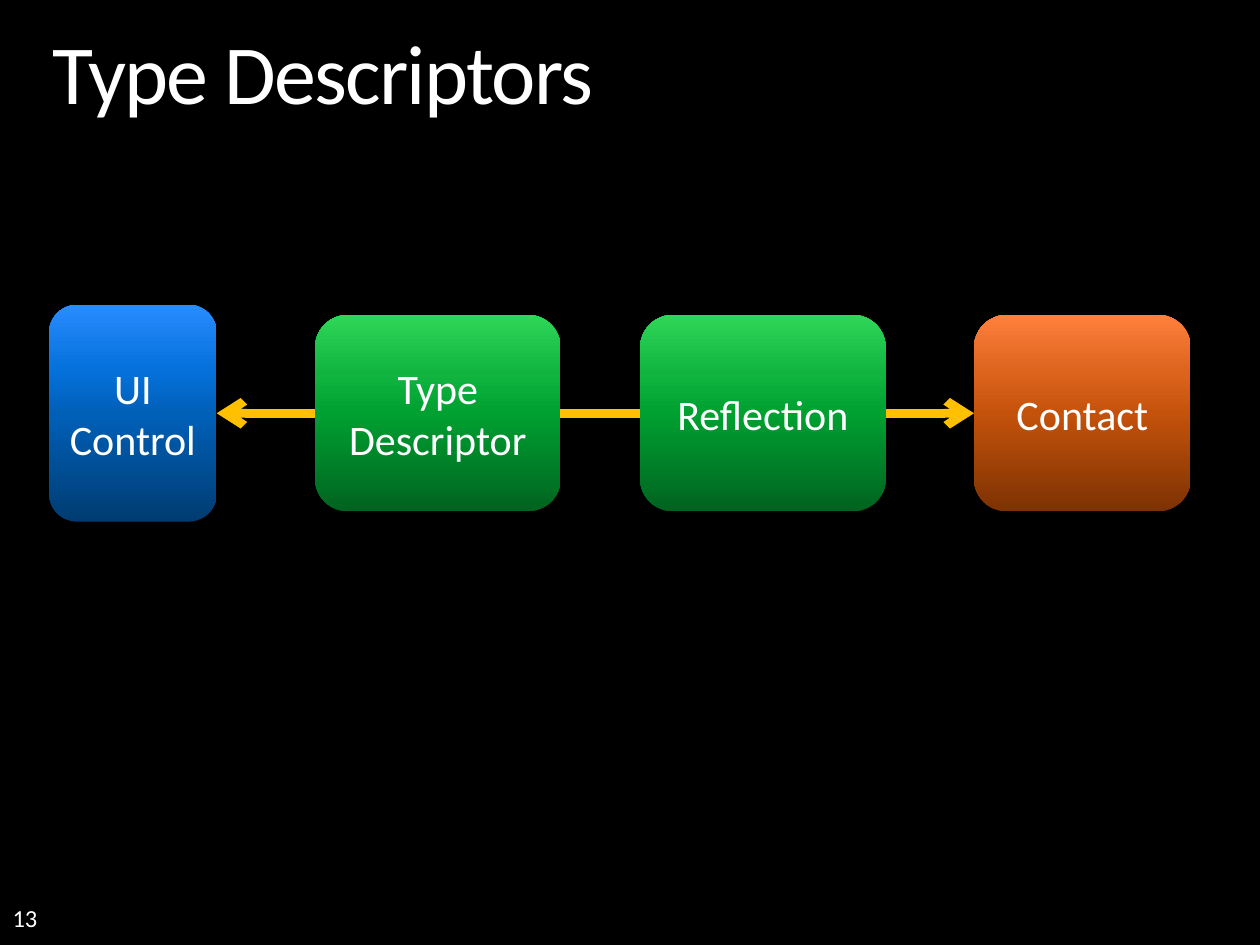
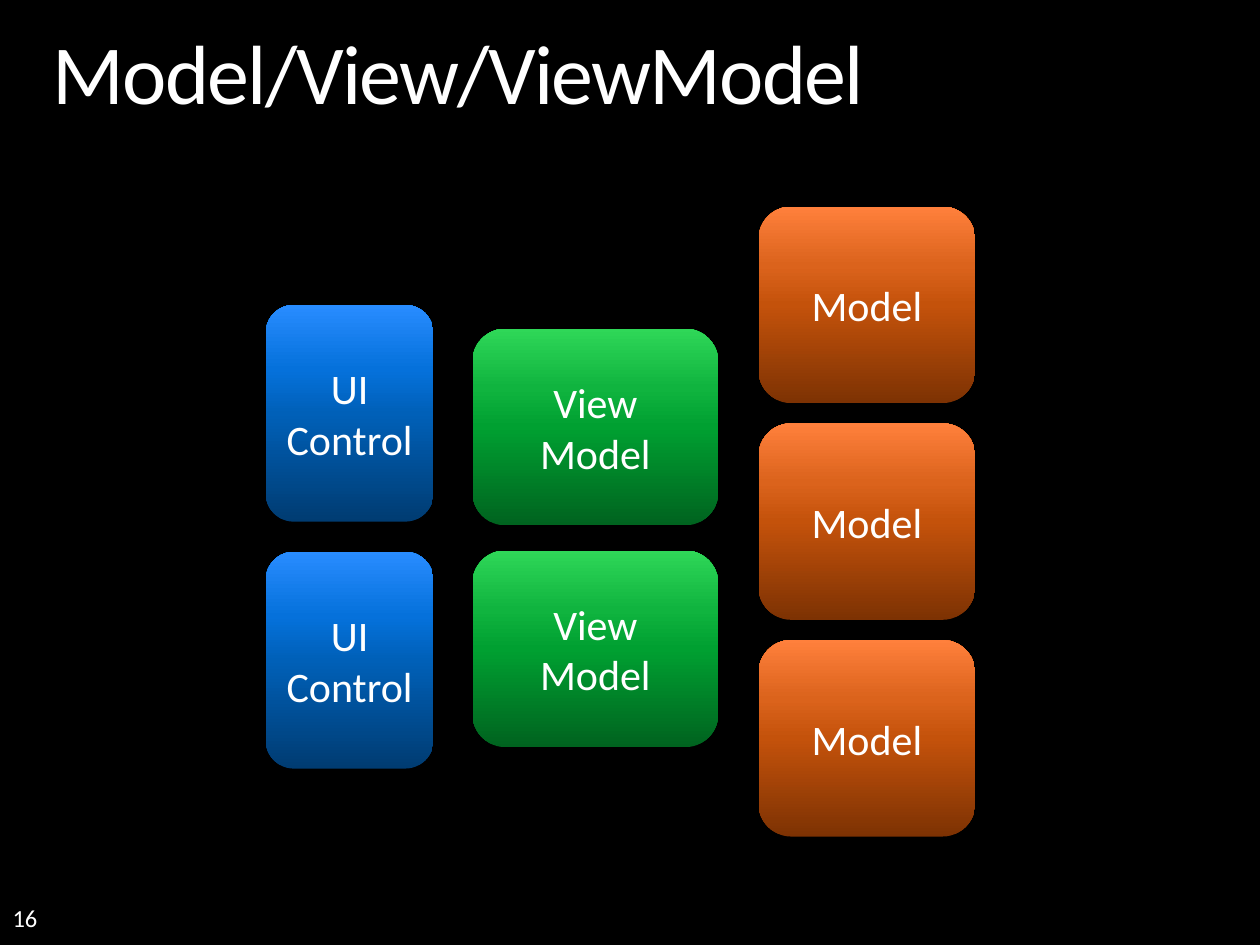
from dataclasses import dataclass

from lxml import etree
from pptx import Presentation
from pptx.dml.color import RGBColor
from pptx.enum.shapes import MSO_CONNECTOR, MSO_SHAPE
from pptx.enum.text import MSO_ANCHOR, PP_ALIGN
from pptx.oxml.ns import qn
from pptx.util import Inches, Pt

ROUNDED = MSO_SHAPE.ROUNDED_RECTANGLE
STRAIGHT = MSO_CONNECTOR.STRAIGHT
TOP, MIDDLE, BOTTOM = MSO_ANCHOR.TOP, MSO_ANCHOR.MIDDLE, MSO_ANCHOR.BOTTOM
LEFT, CENTER = PP_ALIGN.LEFT, PP_ALIGN.CENTER
LEFT_SIDE, RIGHT_SIDE = 1, 3

FONT = "Calibri"
BLACK, WHITE, GOLD = "000000", "FFFFFF", "FFC000"
STOP_POSITIONS = (0, 50, 70, 100)


@dataclass
class Layer:
    width: float
    height: float
    side_inset: float
    stops: tuple


CONTROL = Layer(1.33, 1.72, 0.08, ("003C72", "0060B8", "0571DB", "288CFF"))
MIDDLEMAN = Layer(1.95, 1.56, 0.12, ("00631F", "00A031", "10B43F", "2FD758"))
MODEL = Layer(1.72, 1.56, 0.1, ("7D3203", "C4520B", "DB631C", "FF803C"))


def rgb(value):
    return RGBColor.from_string(value)


def apply_formats(target, formats):
    for name, value in formats.items():
        setattr(target, name, value)


class Deck:
    def __init__(self):
        self.presentation = Presentation()
        apply_formats(self.presentation, {"slide_width": Inches(10), "slide_height": Inches(7.5)})
        self.slide = None

    def start_slide(self, title, number):
        self.slide = self.presentation.slides.add_slide(self.presentation.slide_layouts[6])
        background = self.slide.background.fill
        background.solid()
        background.fore_color.rgb = rgb(BLACK)
        self.label(number, (0.1, 7, 2.33, 0.4), 14, BOTTOM)
        heading = self.label(title, (0.42, 0.25, 9.16, 0.73), 48, TOP)
        heading.line_spacing = 0.9
        heading.runs[0].font._element.set("spc", "-100")

    def fill_text(self, shape, text, size, anchor, align, side_inset=0.0, end_inset=0.0):
        frame = shape.text_frame
        apply_formats(frame, {
            "word_wrap": True,
            "vertical_anchor": anchor,
            "margin_left": Inches(side_inset),
            "margin_right": Inches(side_inset),
            "margin_top": Inches(end_inset),
            "margin_bottom": Inches(end_inset),
        })
        paragraph = frame.paragraphs[0]
        paragraph.alignment = align
        run = paragraph.add_run()
        run.text = text
        apply_formats(run.font, {"name": FONT, "size": Pt(size)})
        run.font.color.rgb = rgb(WHITE)
        return paragraph

    def label(self, text, box, size, anchor):
        textbox = self.slide.shapes.add_textbox(*map(Inches, box))
        return self.fill_text(textbox, text, size, anchor, LEFT)

    def block(self, text, layer, left, top):
        shape = self.slide.shapes.add_shape(
            ROUNDED, *map(Inches, (left, top, layer.width, layer.height)))
        shape.shadow.inherit = False
        shape.line.fill.background()
        self.shade(shape, layer.stops)
        self.fill_text(shape, text, 24, MIDDLE, CENTER, layer.side_inset, 0.05)
        return shape

    def shade(self, shape, colors):
        shape.fill.gradient()
        shape.fill.gradient_angle = 90
        stop_list = shape._element.spPr.find(qn("a:gradFill")).find(qn("a:gsLst"))
        for default_stop in list(stop_list):
            stop_list.remove(default_stop)
        for position, color in zip(STOP_POSITIONS, colors):
            stop = etree.SubElement(stop_list, qn("a:gs"), pos=str(position * 1000))
            etree.SubElement(stop, qn("a:srgbClr"), val=color)

    def double_arrow(self, source, target):
        arrow = self.slide.shapes.add_connector(STRAIGHT, 0, 0, 0, 0)
        arrow.begin_connect(source, RIGHT_SIDE)
        arrow.end_connect(target, LEFT_SIDE)
        arrow.line.width = Pt(5)
        arrow.line.color.rgb = rgb(GOLD)
        outline = arrow._element.spPr.find(qn("a:ln"))
        for end in ("a:headEnd", "a:tailEnd"):
            etree.SubElement(outline, qn(end), type="arrow")
        etree.SubElement(arrow._element.spPr, qn("a:effectLst"))


def type_descriptors(deck):
    deck.start_slide("Type Descriptors", "13")
    control = deck.block("UI Control", CONTROL, 0.39, 2.42)
    contact = deck.block("Contact", MODEL, 7.73, 2.5)
    deck.double_arrow(control, contact)
    for text, left in (("Reflection", 5.08), ("Type Descriptor", 2.5)):
        deck.block(text, MIDDLEMAN, left, 2.5)


def model_view_viewmodel(deck):
    deck.start_slide("Model/View/ViewModel", "16")
    columns = (
        ("UI Control", CONTROL, 2.11, 2.42, 1.96, 2),
        ("View Model", MIDDLEMAN, 3.75, 2.61, 1.76, 2),
        ("Model", MODEL, 6.02, 1.64, 1.72, 3),
    )
    for text, layer, left, top, pitch, count in columns:
        for row in range(count):
            deck.block(text, layer, left, top + row * pitch)


def main():
    deck = Deck()
    type_descriptors(deck)
    model_view_viewmodel(deck)
    deck.presentation.save("out.pptx")


if __name__ == "__main__":
    main()
